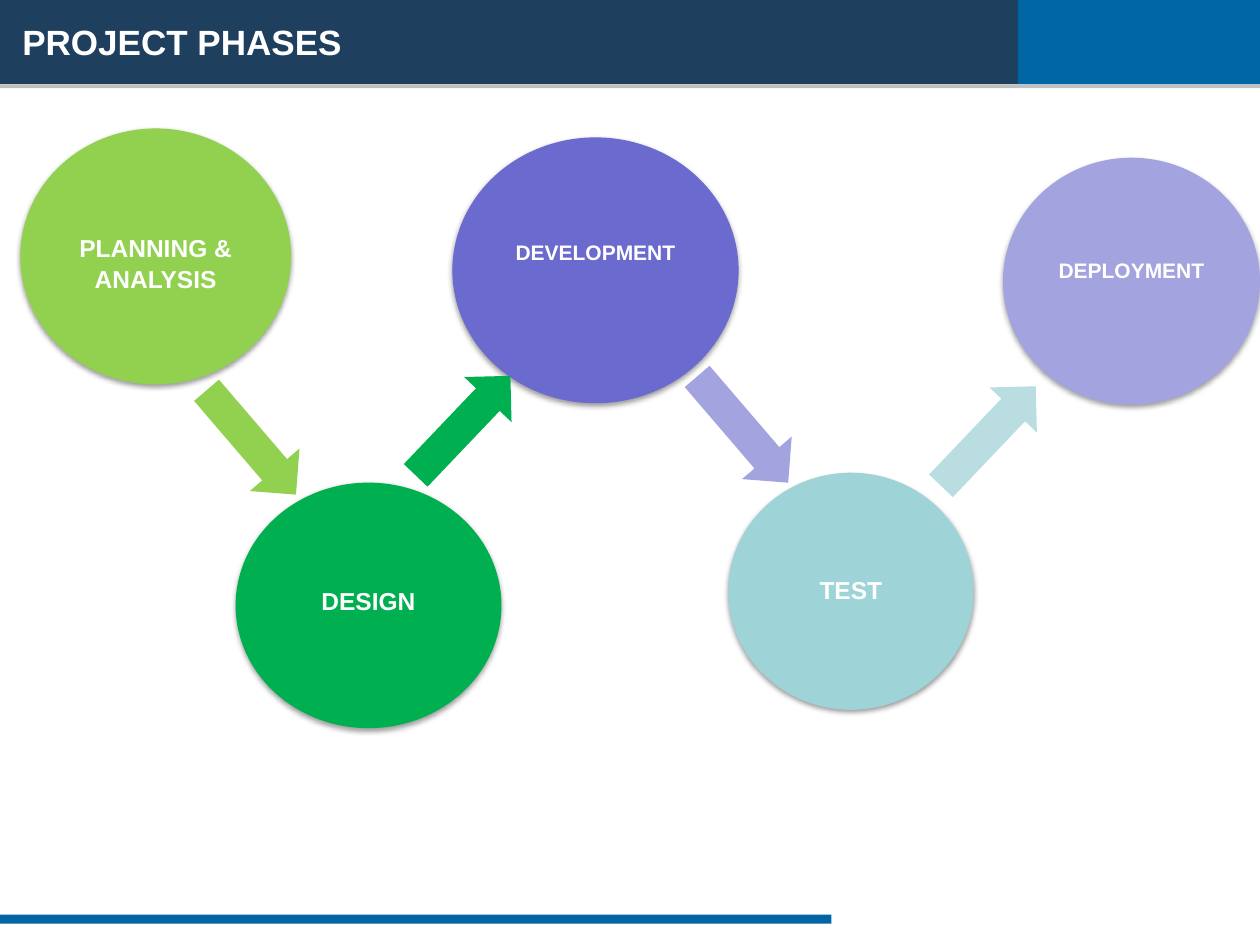
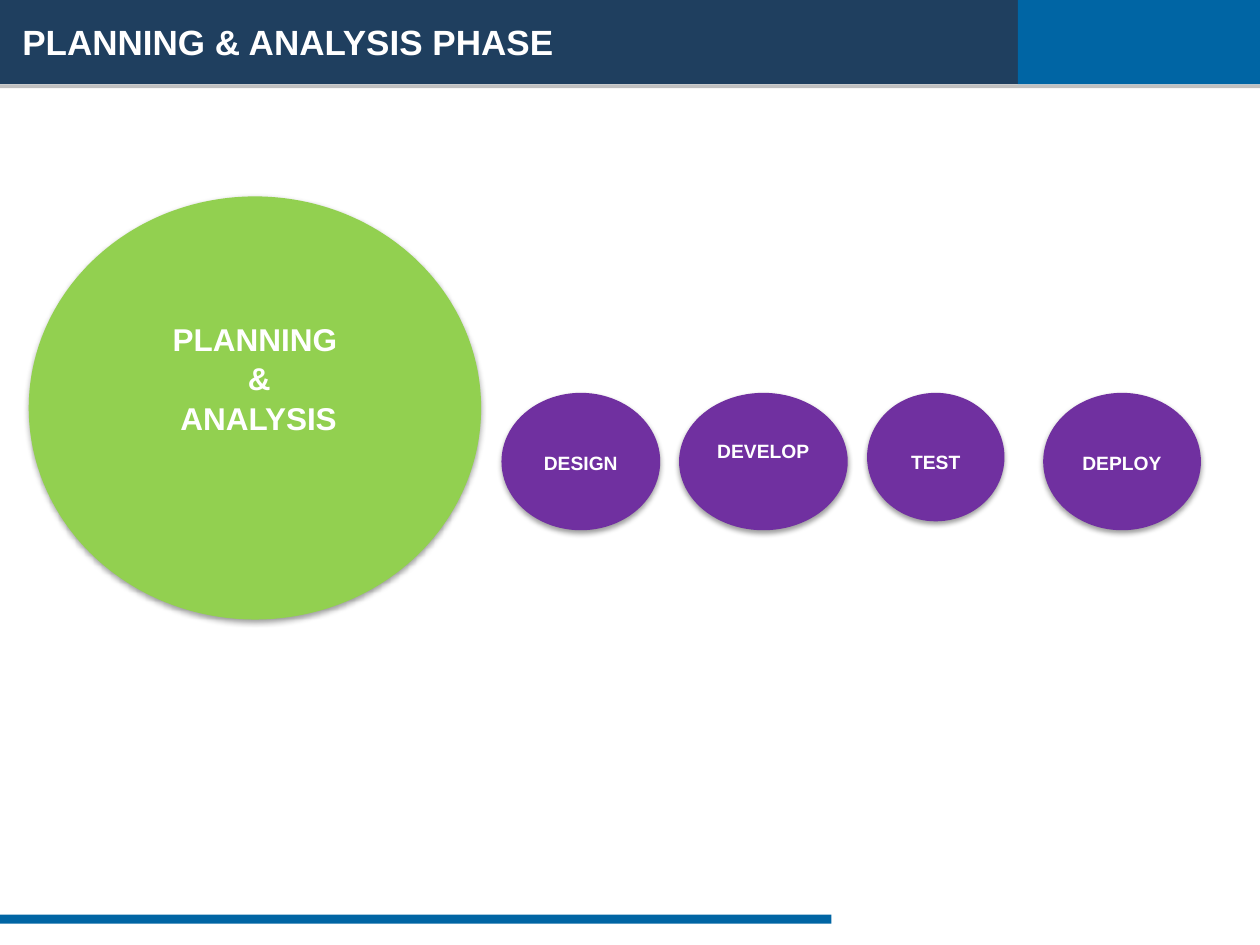
from collections import namedtuple

from lxml.etree import SubElement
from pptx import Presentation
from pptx.dml.color import RGBColor
from pptx.enum.shapes import MSO_SHAPE
from pptx.enum.text import MSO_ANCHOR, PP_ALIGN
from pptx.oxml.ns import qn
from pptx.util import Cm, Pt

WHITE = RGBColor(0xFF, 0xFF, 0xFF)
NAVY = RGBColor(0x1F, 0x3F, 0x5F)
BLUE = RGBColor(0x00, 0x65, 0xA4)
SILVER = RGBColor(0xC0, 0xC0, 0xC0)
LIME = RGBColor(0x92, 0xD0, 0x50)
GREEN = RGBColor(0x00, 0xB0, 0x50)
INDIGO = RGBColor(0x6B, 0x6B, 0xCF)
LAVENDER = RGBColor(0xA3, 0xA3, 0xE0)
TEAL = RGBColor(0x9E, 0xD3, 0xD7)
PALE_TEAL = RGBColor(0xBA, 0xDD, 0xE1)
PURPLE = RGBColor(0x70, 0x30, 0xA0)
FONT = "Arial"

# All lengths in a Box are centimetres.
Box = namedtuple("Box", "left top width height")
PAGE = Box(0, 0, 25.4, 19.05)
HEADER = Box(0, 0, 25.4, 1.78)
FOOTER = Box(0, 18.44, 16.76, 0.18)
BODY = Box(0, 1.78, 25.4, 16.66)


def within(region, left, top, width, height):
    """Turn a place inside a region into a place on the page."""
    return Box(region.left + left, region.top + top, width, height)


def lengths(box):
    return [Cm(value) for value in box]


def write(frame, text, size, align=PP_ALIGN.LEFT, anchor=MSO_ANCHOR.TOP,
          left=0, top=0, line_spacing=1.0):
    """Fill a text frame, one paragraph for each line of the text."""
    frame.word_wrap = True
    frame.vertical_anchor = anchor
    frame.margin_left, frame.margin_top = Cm(left), Cm(top)
    frame.margin_right = frame.margin_bottom = 0
    for index, line in enumerate(text.split("\n")):
        para = frame.paragraphs[0] if index == 0 else frame.add_paragraph()
        para.alignment = align
        para.line_spacing = line_spacing
        span = para.add_run()
        span.text = line
        span.font.name = FONT
        span.font.size = Pt(size)
        span.font.bold = True
        span.font.color.rgb = WHITE


def add_filled(page, kind, box, color, rotation=0):
    shape = page.shapes.add_shape(kind, *lengths(box))
    shape.shadow.inherit = False
    shape.fill.solid()
    shape.fill.fore_color.rgb = color
    shape.line.fill.background()
    shape.rotation = rotation
    return shape


def add_soft_shadow(shape):
    effects = shape._element.spPr.find(qn("a:effectLst"))
    shadow = SubElement(effects, qn("a:outerShdw"), blurRad=str(Pt(3.1)),
                        dist=str(Pt(1.6)), dir="5400000", rotWithShape="0")
    color = SubElement(shadow, qn("a:srgbClr"), val="000000")
    SubElement(color, qn("a:alpha"), val="38000")


def add_phase(page, box, text, color, size, text_top):
    circle = add_filled(page, MSO_SHAPE.OVAL, box, color)
    add_soft_shadow(circle)
    write(circle.text_frame, text, size, align=PP_ALIGN.CENTER, top=text_top,
          line_spacing=1.05)


def add_header(page, box, title):
    bands = [
        ((0, 0, 20.52, 1.7), NAVY),
        ((0, 1.7, box.width, 0.08), SILVER),
        ((20.52, 0, 4.88, 1.7), BLUE),
    ]
    for place, color in bands:
        add_filled(page, MSO_SHAPE.RECTANGLE, within(box, *place), color)
    title_box = page.shapes.add_textbox(*lengths(within(box, 0.2, 0.2, 19.89, 1.27)))
    write(title_box.text_frame, title, 20, anchor=MSO_ANCHOR.MIDDLE, left=0.25)


def add_page(deck, title):
    page = deck.slides.add_slide(deck.slide_layouts[6])
    add_header(page, HEADER, title)
    add_filled(page, MSO_SHAPE.RECTANGLE, FOOTER, BLUE)
    return page


def draw_phase_flow(page, box):
    """Place the five phases in a zigzag, with arrows from each to the next."""
    phases = [
        ((20.22, 1.4, 5.18, 4.98), "DEPLOYMENT", LAVENDER, 12),
        ((14.68, 7.75, 4.95, 4.78), "TEST", TEAL, 14),
        ((9.12, 0.99, 5.77, 5.36), "DEVELOPMENT", INDIGO, 12),
        ((4.75, 7.95, 5.36, 4.95), "DESIGN", GREEN, 14),
        ((0.41, 0.81, 5.46, 5.16), "PLANNING & ANALYSIS", LIME, 14),
    ]
    for place, text, color, size in phases:
        text_top = 1.33 if size == 14 else 1.25
        add_phase(page, within(box, *place), text, color, size, text_top)

    down, up = 49.4, 313.6
    arrows = [
        (3.68, 6.48, 2.77, down, LIME),
        (13.56, 6.22, 2.82, down, LAVENDER),
        (7.95, 6.14, 2.77, up, GREEN),
        (18.54, 6.35, 2.77, up, PALE_TEAL),
    ]
    for left, top, width, rotation, color in arrows:
        add_filled(page, MSO_SHAPE.RIGHT_ARROW, within(box, left, top, width, 1.32),
                   color, rotation)


def draw_phase_focus(page, box):
    """Show the current phase large, with the later phases in a row beside it."""
    row_top = 6.14
    later_phases = [
        (21.03, 3.18, 2.77, "DEPLOY", 0.75),
        (17.48, 2.77, 2.59, "TEST", 0.75),
        (13.69, 3.4, 2.77, "DEVELOP", 0.51),
        (10.11, 3.2, 2.77, "DESIGN", 0.75),
    ]
    for left, width, height, text, text_top in later_phases:
        add_phase(page, within(box, left, row_top, width, height), text, PURPLE,
                  11, text_top)
    add_phase(page, within(box, 0.58, 2.18, 9.12, 8.53),
              "PLANNING\n &\n ANALYSIS", LIME, 18, 1.2)


def main():
    deck = Presentation()
    deck.slide_width, deck.slide_height = Cm(PAGE.width), Cm(PAGE.height)
    draw_phase_flow(add_page(deck, "PROJECT PHASES"), BODY)
    draw_phase_focus(add_page(deck, "PLANNING & ANALYSIS PHASE"), BODY)
    deck.save("out.pptx")


if __name__ == "__main__":
    main()
